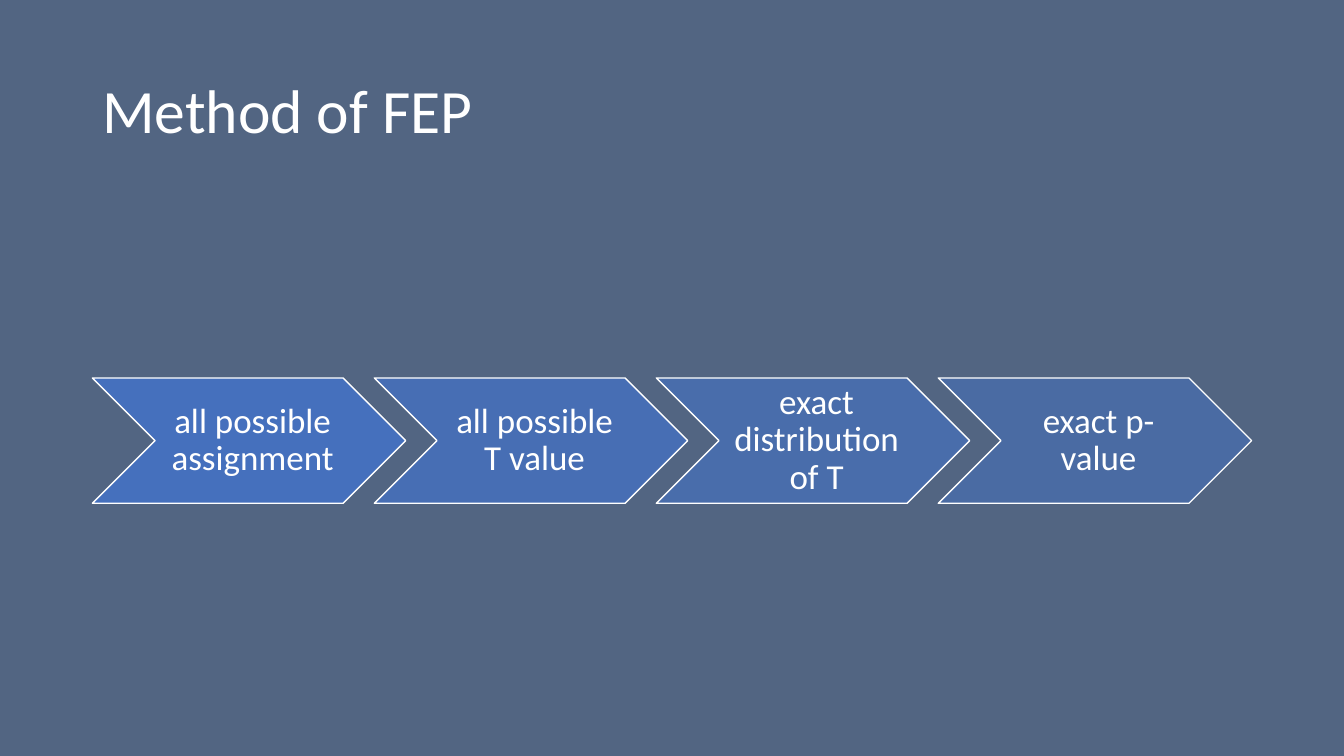
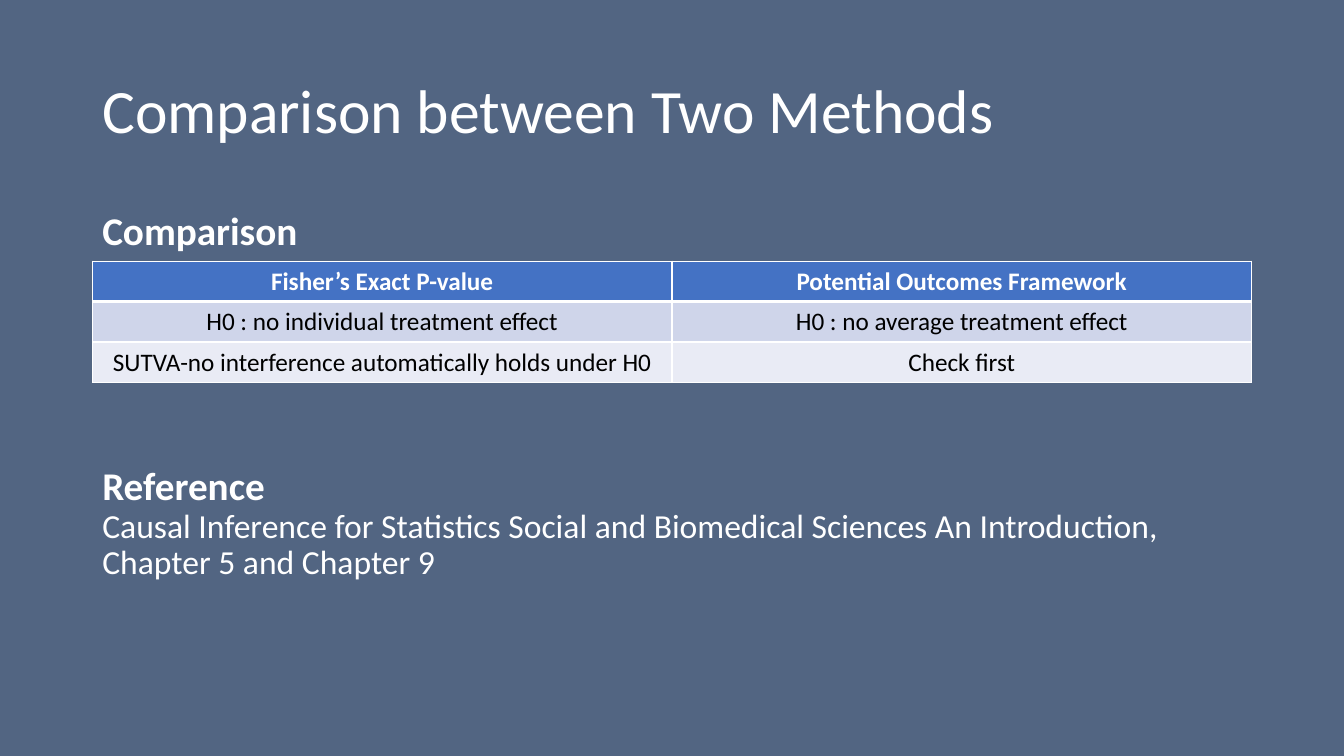
"""Build two slides on Fisher's exact p-value: its steps and a comparison of methods."""
import dataclasses
import typing

import lxml.etree
import pptx
import pptx.dml.color
import pptx.enum.shapes
import pptx.enum.text
import pptx.oxml.ns
import pptx.util

ALIGN = pptx.enum.text.PP_ALIGN
ANCHOR = pptx.enum.text.MSO_ANCHOR


@dataclasses.dataclass(frozen=True)
class Theme:
    font: str = "Calibri"
    background: str = "526582"
    light: str = "FFFFFF"
    dark: str = "000000"
    accent: str = "4472C4"
    bands: tuple[str, str] = ("CFD5EA", "E9EBF5")
    title_size: int = 44
    heading_size: int = 28
    step_size: int = 25
    body_size: int = 24
    table_size: int = 18
    thin_line: int = 1
    thick_line: int = 3
    line_spacing: float = 0.9


@dataclasses.dataclass(frozen=True)
class Area:
    column: float
    row: float
    columns: float
    rows: float

    def lengths(self) -> tuple[pptx.util.Length, ...]:
        return tuple(
            pptx.util.Inches(cells * CELL)
            for cells in (self.column, self.row, self.columns, self.rows)
        )


@dataclasses.dataclass(frozen=True)
class Line:
    text: str
    size: int
    bold: bool = False


@dataclasses.dataclass(frozen=True)
class Step:
    text: str
    opacity: int


THEME = Theme()
CELL = 1 / 12
GRID_COLUMNS, GRID_ROWS = 160, 90
MARGIN = 11
CONTENT = GRID_COLUMNS - 2 * MARGIN
STEP_PITCH = 0.9
STEP_ASPECT = 0.4

STEPS = (
    Step("all possible assignment", 90),
    Step("all possible T value", 77),
    Step("exact distribution of T", 63),
    Step("exact p-value", 50),
)
COMPARISON = (
    ("Fisher’s Exact P-value", "Potential Outcomes Framework"),
    ("H0 : no individual treatment effect", "H0 : no average treatment effect"),
    ("SUTVA-no interference automatically holds under H0", "Check first"),
)
REFERENCE = (
    Line("Reference", THEME.heading_size, True),
    Line(
        "Causal Inference for Statistics Social and Biomedical Sciences "
        "An Introduction, Chapter 5 and Chapter 9",
        THEME.body_size,
    ),
)


def rgb(color: str) -> pptx.dml.color.RGBColor:
    return pptx.dml.color.RGBColor.from_string(color)


def write(
    frame: typing.Any,
    lines: typing.Sequence[Line],
    color: str = THEME.light,
    align: ALIGN = ALIGN.LEFT,
    spacing: float = THEME.line_spacing,
) -> None:
    frame.word_wrap = True
    for index, line in enumerate(lines):
        para = frame.add_paragraph() if index else frame.paragraphs[0]
        para.alignment = align
        para.line_spacing = spacing
        span = para.add_run()
        span.text = line.text
        span.font.name = THEME.font
        span.font.size = pptx.util.Pt(line.size)
        span.font.bold = line.bold
        span.font.color.rgb = rgb(color)


def add_text(
    page: typing.Any, area: Area, lines: typing.Sequence[Line], anchor: ANCHOR = ANCHOR.TOP
) -> None:
    box = page.shapes.add_textbox(*area.lengths())
    box.text_frame.vertical_anchor = anchor
    write(box.text_frame, lines)


def add_page(deck: typing.Any, title: str) -> typing.Any:
    page = deck.slides.add_slide(deck.slide_layouts[6])
    page.background.fill.solid()
    page.background.fill.fore_color.rgb = rgb(THEME.background)
    add_text(
        page,
        Area(MARGIN, 4.8, CONTENT, 17.4),
        [Line(title, THEME.title_size)],
        ANCHOR.MIDDLE,
    )
    return page


def add_step(page: typing.Any, area: Area, step: Step) -> None:
    chevron = page.shapes.add_shape(
        pptx.enum.shapes.MSO_SHAPE.CHEVRON, *area.lengths()
    )
    chevron.shadow.inherit = False
    chevron.fill.solid()
    chevron.fill.fore_color.rgb = rgb(THEME.accent)
    tint = chevron.fill._xPr.find(".//" + pptx.oxml.ns.qn("a:srgbClr"))
    lxml.etree.SubElement(
        tint, pptx.oxml.ns.qn("a:alpha"), val=str(step.opacity * 1000)
    )
    chevron.line.color.rgb = rgb(THEME.light)
    chevron.line.width = pptx.util.Pt(THEME.thin_line)
    frame = chevron.text_frame
    frame.margin_left = pptx.util.Inches(0.11)
    frame.margin_top = frame.margin_right = frame.margin_bottom = pptx.util.Inches(0.04)
    frame.vertical_anchor = ANCHOR.MIDDLE
    write(frame, [Line(step.text, THEME.step_size)], align=ALIGN.CENTER)


def add_process(page: typing.Any, row: float, steps: typing.Sequence[Step]) -> None:
    width = CONTENT / (1 + STEP_PITCH * (len(steps) - 1))
    for index, step in enumerate(steps):
        column = MARGIN + index * STEP_PITCH * width
        add_step(page, Area(column, row, width, STEP_ASPECT * width), step)


def set_borders(cell: typing.Any, widths: dict[str, int]) -> None:
    properties = cell._tc.get_or_add_tcPr()
    for position, (side, width) in enumerate(widths.items()):
        border = lxml.etree.Element(
            pptx.oxml.ns.qn("a:ln" + side), w=str(pptx.util.Pt(width))
        )
        fill = lxml.etree.SubElement(border, pptx.oxml.ns.qn("a:solidFill"))
        lxml.etree.SubElement(fill, pptx.oxml.ns.qn("a:srgbClr"), val=THEME.light)
        properties.insert(position, border)


def add_comparison(
    page: typing.Any, area: Area, rows: typing.Sequence[typing.Sequence[str]]
) -> None:
    table = page.shapes.add_table(len(rows), len(rows[0]), *area.lengths()).table
    thin, thick = THEME.thin_line, THEME.thick_line
    for row, texts in enumerate(rows):
        header = row == 0
        fill = THEME.accent if header else THEME.bands[(row - 1) % 2]
        borders = {
            "L": thin,
            "R": thin,
            "T": thick if row == 1 else thin,
            "B": thick if header else thin,
        }
        for column, text in enumerate(texts):
            cell = table.cell(row, column)
            cell.fill.solid()
            cell.fill.fore_color.rgb = rgb(fill)
            set_borders(cell, borders)
            write(
                cell.text_frame,
                [Line(text, THEME.table_size, header)],
                THEME.light if header else THEME.dark,
                ALIGN.CENTER,
                1.0,
            )


def build_method(deck: typing.Any) -> None:
    page = add_page(deck, "Method of FEP")
    add_process(page, 45, STEPS)


def build_comparison(deck: typing.Any) -> None:
    page = add_page(deck, "Comparison between Two Methods")
    add_comparison(page, Area(MARGIN, 31.1, CONTENT, 14.4), COMPARISON)
    add_text(page, Area(MARGIN, 55, CONTENT, 17), REFERENCE)
    add_text(
        page,
        Area(MARGIN, 24.6, CONTENT, 6.5),
        [Line("Comparison", THEME.heading_size, True)],
    )


def main() -> None:
    deck = pptx.Presentation()
    deck.slide_width = pptx.util.Inches(GRID_COLUMNS * CELL)
    deck.slide_height = pptx.util.Inches(GRID_ROWS * CELL)
    build_method(deck)
    build_comparison(deck)
    deck.save("out.pptx")


if __name__ == "__main__":
    main()
